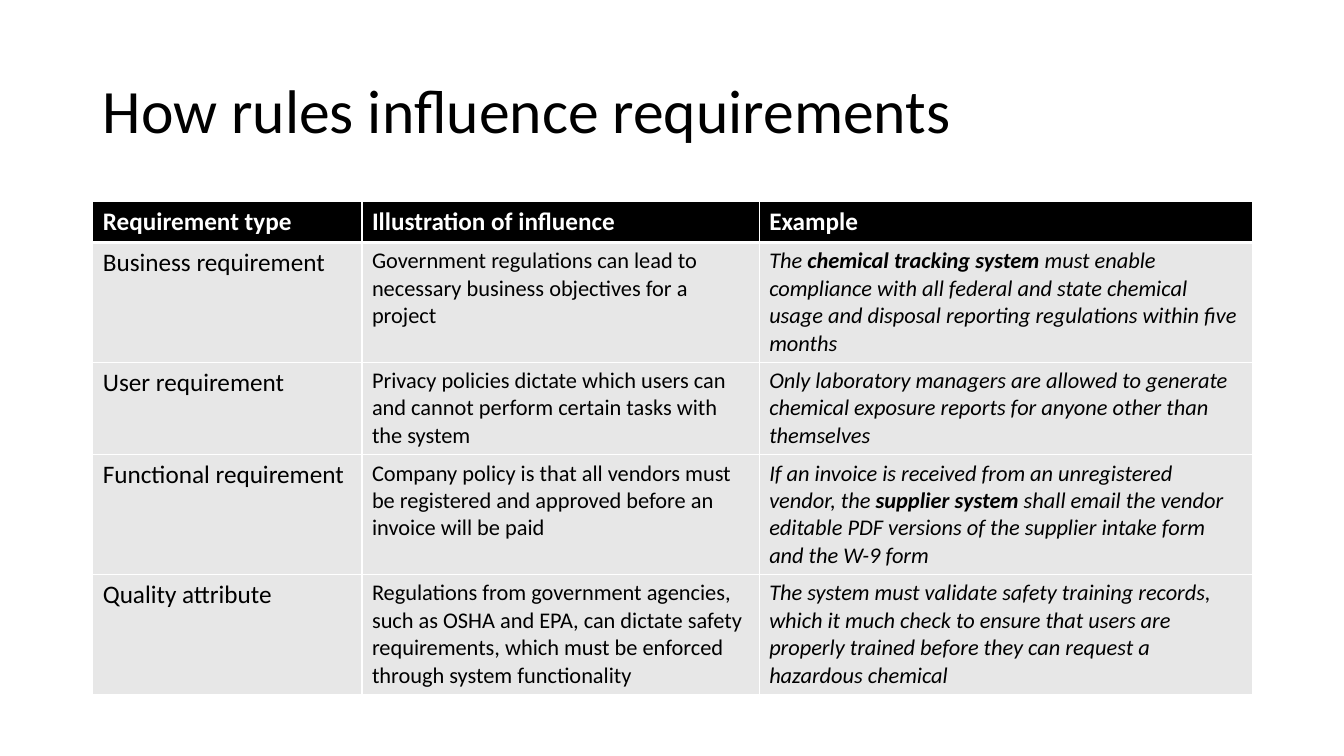
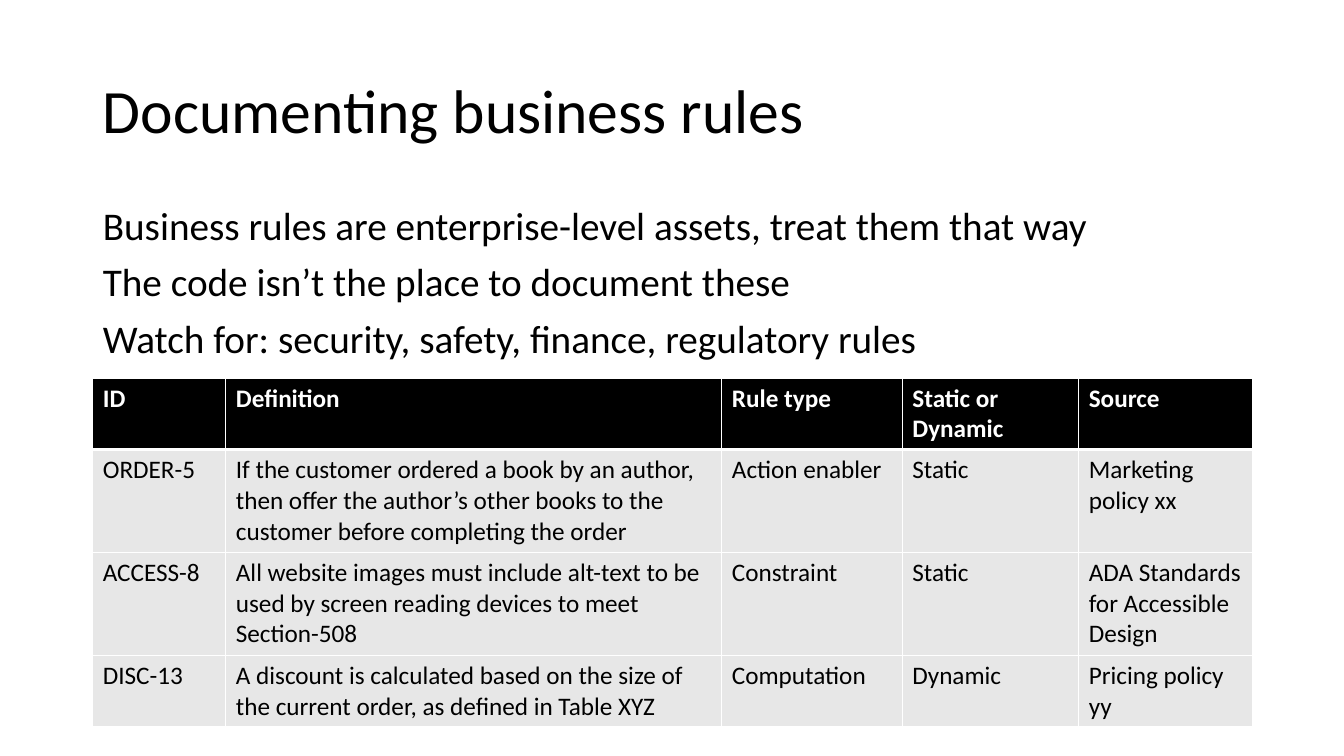
from dataclasses import dataclass
from typing import Any

from pptx import Presentation
from pptx import slide as sld
from pptx import util as u
from pptx.dml import color
from pptx.enum import text
from pptx.oxml import ns
from lxml import etree


@dataclass(frozen=True)
class Theme:
    font: str = "Calibri"
    ink: str = "000000"
    paper: str = "FFFFFF"
    cell: str = "E7E7E7"
    title: int = 44
    body: int = 28
    table: int = 18
    detail: int = 16
    left: float = 0.92
    width: float = 11.5
    rule: int = 1
    header_rule: int = 3


@dataclass(frozen=True)
class Column:
    heading: str
    width: float
    size: int
    italic: bool = False


@dataclass(frozen=True)
class Grid:
    top: float
    columns: list[Column]
    heights: list[float]
    rows: list[list[str]]


T = Theme()
TITLE_ONLY, TITLE_AND_BODY = 5, 1


def apply(target: Any, values: dict[str, Any]) -> None:
    for name, value in values.items():
        setattr(target, name, value)


def add_run(p: Any, content: str, size: int, rgb: str = T.ink,
            bold: bool = False, italic: bool = False) -> None:
    r = p.add_run()
    r.text = content
    apply(r.font, {"name": T.font, "size": u.Pt(size), "bold": bold, "italic": italic})
    r.font.color.rgb = color.RGBColor.from_string(rgb)


def place(sp: Any, top: float, height: float, anchor: Any) -> Any:
    apply(sp, {"left": u.Inches(T.left), "top": u.Inches(top),
               "width": u.Inches(T.width), "height": u.Inches(height)})
    tf = sp.text_frame
    apply(tf, {"word_wrap": True, "vertical_anchor": anchor,
               "auto_size": text.MSO_AUTO_SIZE.NONE})
    return tf


def add_slide(prs: Any, layout: int, title: str) -> sld.Slide:
    s = prs.slides.add_slide(prs.slide_layouts[layout])
    tf = place(s.shapes.title, 0.4, 1.45, text.MSO_ANCHOR.MIDDLE)
    p = tf.paragraphs[0]
    apply(p, {"alignment": text.PP_ALIGN.LEFT, "line_spacing": 0.9})
    add_run(p, title, T.title)
    return s


def add_body(s: sld.Slide, lines: list[str]) -> None:
    tf = place(s.placeholders[1], 2, 4.76, text.MSO_ANCHOR.TOP)
    for i, line in enumerate(lines):
        p = tf.add_paragraph() if i else tf.paragraphs[0]
        apply(p, {"line_spacing": 0.9, "space_before": u.Pt(10)})
        pPr = p._p.get_or_add_pPr()
        pPr.set("marL", "0")
        pPr.set("indent", "0")
        etree.SubElement(pPr, ns.qn("a:buNone"))
        add_run(p, line, T.body)


def add_borders(cell: Any, row: int) -> None:
    tcPr = cell._tc.get_or_add_tcPr()
    widths = {"L": T.rule, "R": T.rule,
              "T": T.header_rule if row == 1 else T.rule,
              "B": T.header_rule if row == 0 else T.rule}
    for side, width in widths.items():
        ln = etree.SubElement(tcPr, ns.qn(f"a:ln{side}"), w=str(u.Pt(width)))
        fill = etree.SubElement(ln, ns.qn("a:solidFill"))
        etree.SubElement(fill, ns.qn("a:srgbClr"), val=T.paper)


def fill_cell(cell: Any, row: int, column: Column, content: str) -> None:
    header = row == 0
    add_borders(cell, row)
    cell.fill.solid()
    cell.fill.fore_color.rgb = color.RGBColor.from_string(T.ink if header else T.cell)
    p = cell.text_frame.paragraphs[0]
    if header:
        add_run(p, content, T.table, T.paper, bold=True)
        return
    for i, part in enumerate(content.split("|")):
        add_run(p, part, column.size, bold=i % 2 == 1, italic=column.italic)


def add_grid(s: sld.Slide, grid: Grid) -> None:
    rows = [[column.heading for column in grid.columns], *grid.rows]
    table = s.shapes.add_table(
        len(rows), len(grid.columns), u.Inches(T.left), u.Inches(grid.top),
        u.Inches(T.width), u.Inches(sum(grid.heights))).table
    table.horz_banding = False
    for c, column in enumerate(grid.columns):
        table.columns[c].width = u.Inches(column.width)
    for r, (height, row) in enumerate(zip(grid.heights, rows)):
        table.rows[r].height = u.Inches(height)
        for c, (column, content) in enumerate(zip(grid.columns, row)):
            fill_cell(table.cell(r, c), r, column, content)


INFLUENCE = Grid(
    top=2,
    columns=[Column("Requirement type", 2.67, T.table),
             Column("Illustration of influence", 3.94, T.detail),
             Column("Example", 4.89, T.detail, italic=True)],
    heights=[0.4, 1.18, 0.92, 1.18, 1.18],
    rows=[
        ["Business requirement",
         "Government regulations can lead to necessary business objectives for a project",
         "The |chemical tracking system |must enable compliance with all federal and state "
         "chemical usage and disposal reporting regulations within five months"],
        ["User requirement",
         "Privacy policies dictate which users can and cannot perform certain tasks "
         "with the system",
         "Only laboratory managers are allowed to generate chemical exposure reports "
         "for anyone other than themselves"],
        ["Functional requirement",
         "Company policy is that all vendors must be registered and approved before "
         "an invoice will be paid",
         "If an invoice is received from an unregistered vendor, the |supplier system |shall "
         "email the vendor editable PDF versions of the supplier intake form and the W-9 form"],
        ["Quality attribute",
         "Regulations from government agencies, such as OSHA and EPA, can dictate safety "
         "requirements, which must be enforced through system functionality",
         "The system must validate safety training records, which it much check to ensure "
         "that users are properly trained before they can request a hazardous chemical"],
    ])

RULES = Grid(
    top=3.75,
    columns=[Column("ID", 1.32, T.table), Column("Definition", 4.92, T.table),
             Column("Rule type", 1.79, T.table), Column("Static or Dynamic", 1.75, T.table),
             Column("Source", 1.72, T.table)],
    heights=[0.7, 1.02, 1.02, 0.7],
    rows=[
        ["ORDER-5",
         "If the customer ordered a book by an author, then offer the author’s other books "
         "to the customer before completing the order",
         "Action enabler", "Static", "Marketing policy xx"],
        ["ACCESS-8",
         "All website images must include alt-text to be used by screen reading devices "
         "to meet Section-508",
         "Constraint", "Static", "ADA Standards for Accessible Design"],
        ["DISC-13",
         "A discount is calculated based on the size of the current order, as defined "
         "in Table XYZ",
         "Computation", "Dynamic", "Pricing policy yy"],
    ])


def main() -> None:
    prs = Presentation()
    apply(prs, {"slide_width": u.Inches(13.33), "slide_height": u.Inches(7.5)})

    s = add_slide(prs, TITLE_ONLY, "How rules influence requirements")
    add_grid(s, INFLUENCE)

    s = add_slide(prs, TITLE_AND_BODY, "Documenting business rules")
    add_body(s, ["Business rules are enterprise-level assets, treat them that way",
                 "The code isn’t the place to document these",
                 "Watch for: security, safety, finance, regulatory rules"])
    add_grid(s, RULES)

    prs.save("out.pptx")


main()
